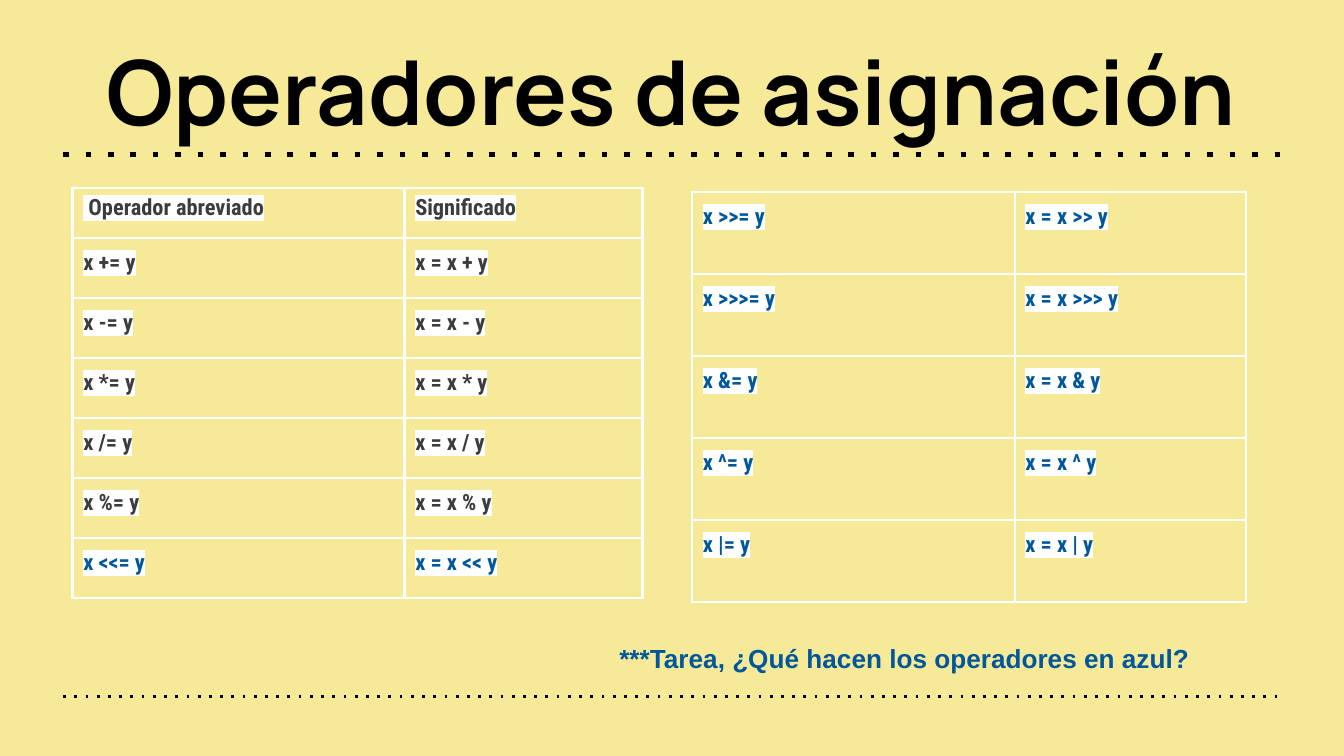
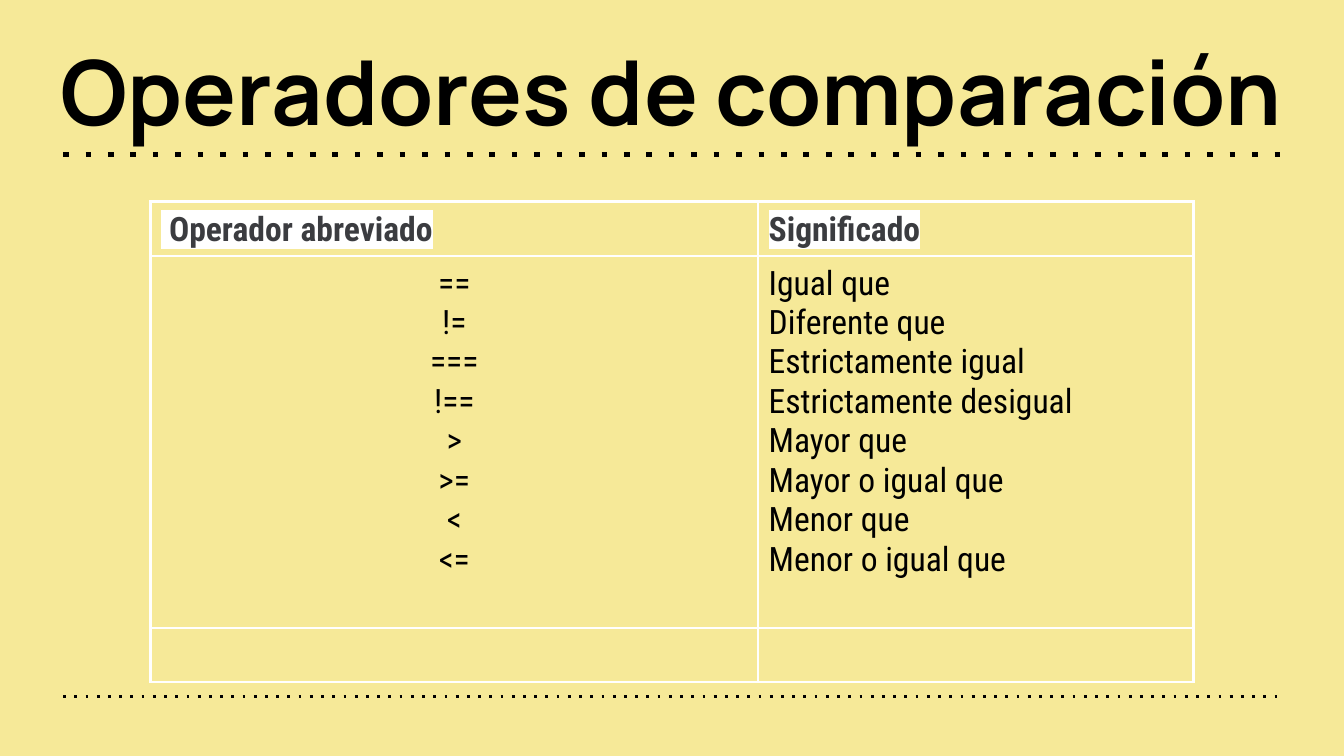
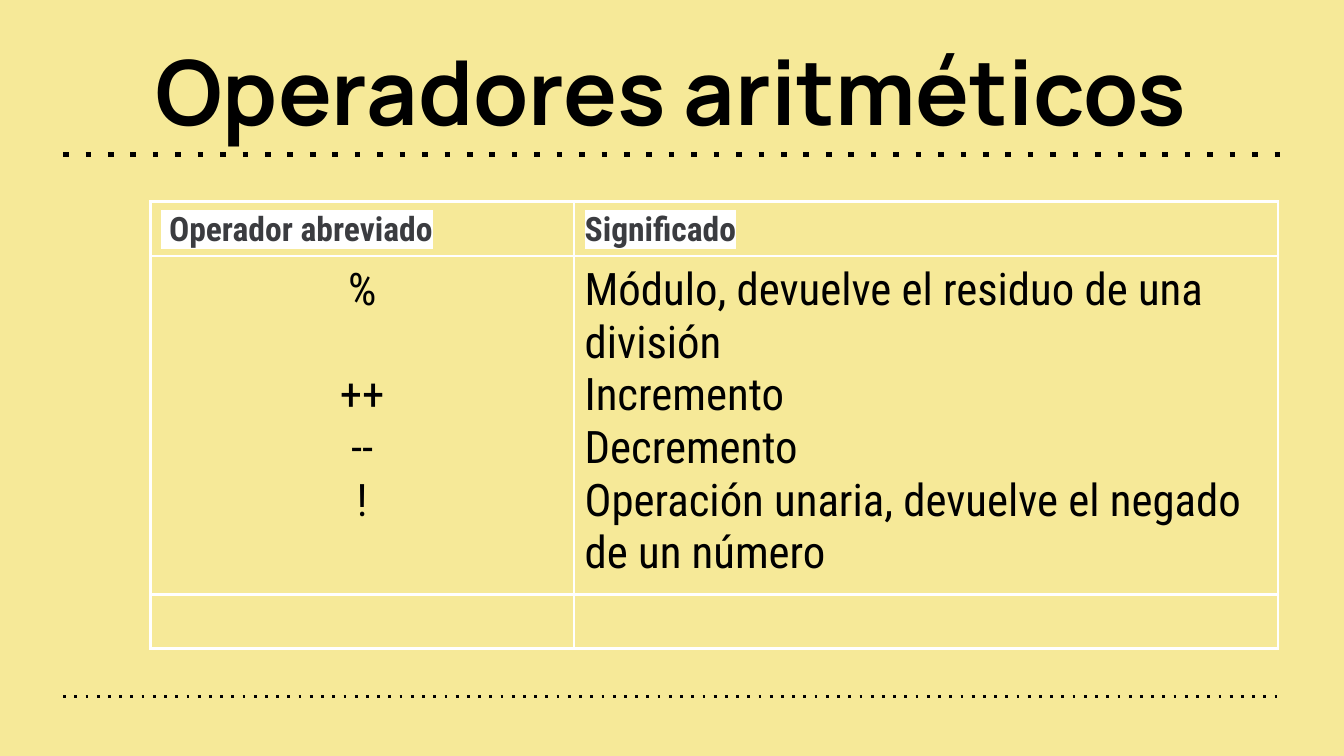
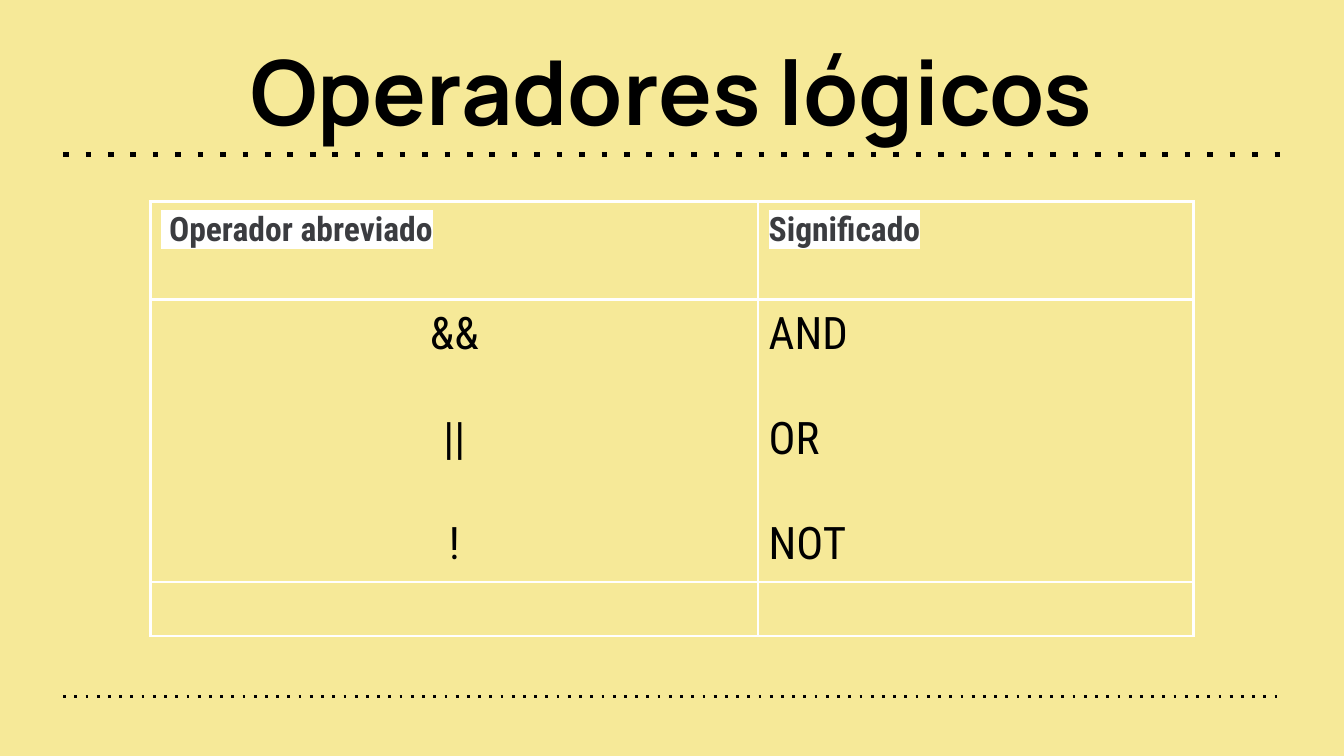
from pptx import Presentation
from pptx import util as u
from pptx.dml.color import RGBColor
from pptx.enum import shapes, text
from pptx.oxml import parse_xml
from pptx.oxml.ns import nsdecls, qn

# Colours and fonts
PAPER = RGBColor(0xF6, 0xE9, 0x98)
BLACK = RGBColor(0, 0, 0)
GREY = RGBColor(0x3B, 0x3C, 0x40)
BLUE = RGBColor(0x01, 0x57, 0x9B)
WHITE = RGBColor(0xFF, 0xFF, 0xFF)
HEAD_FONT, CELL_FONT, NOTE_FONT = "Manrope", "Roboto Condensed", "Arial"

# Content
HEADS = (" Operador abreviado", "Significado")
SIGNS = ["+", "-", "*", "/", "%", "<<", ">>", ">>>", "&", "^", "|"]
GREY_COUNT, LEFT_COUNT = 5, 6  # grey operators; rows of the left table
ASSIGN = "Operadores de asignación"
TASK = "***Tarea, ¿Qué hacen los operadores en azul?"

# Each entry: operator, meaning, blank lines after the operator, after the meaning
TOPICS = [
    dict(title="Operadores de comparación", size=18,
         cols=(4.52, 3.24), rows=(0.39, 2.77, 0.4),
         items=[("==", "Igual que", 0, 0),
                ("!=", "Diferente que", 0, 0),
                ("===", "Estrictamente igual", 0, 0),
                ("!==", "Estrictamente desigual", 0, 0),
                (">", "Mayor que", 0, 0),
                (">=", "Mayor o igual que", 0, 0),
                ("<", "Menor que", 0, 0),
                ("<=", "Menor o igual que", 0, 0)]),
    dict(title="Operadores aritméticos", size=24,
         cols=(3.15, 5.24), rows=(0.39, 2.45, 0.4),
         items=[("%", "Módulo, devuelve el residuo de una división", 1, 0),
                ("++", "Incremento", 0, 0),
                ("--", "Decremento", 0, 0),
                ("!", "Operación unaria, devuelve el negado de un número", 0, 0)]),
    dict(title="Operadores lógicos", size=24,
         cols=(4.52, 3.24), rows=(0.73, 2.07, 0.4),
         items=[("&&", "AND", 1, 1), ("||", "OR", 1, 1), ("!", "NOT", 0, 0)]),
]

LINE = 1.17  # height of one text line, as a share of the font size
RULES = ((1.15, 3), (5.18, 1.5))  # height on the slide, weight


def style(para, font, size, color, bold=False):
    f = para.font
    f.name, f.size, f.bold = font, u.Pt(size), bold
    f.color.rgb = color


def label(slide, box, words, font, size, color):
    frame = slide.shapes.add_textbox(*map(u.Inches, box)).text_frame
    frame.word_wrap = True
    frame.margin_top = frame.margin_bottom = u.Inches(0.1)
    frame.text = words
    style(frame.paragraphs[0], font, size, color, True)
    return frame


def start(deck, title):
    """Add a slide with its title and dotted rules."""
    slide = deck.slides.add_slide(deck.slide_layouts[6])
    for y, weight in RULES:
        rule = slide.shapes.add_connector(
            shapes.MSO_CONNECTOR.STRAIGHT,
            *map(u.Inches, (0.47, y, 9.54, y)))
        rule.line.color.rgb = BLACK
        rule.line.width = u.Pt(weight)
        props = rule._element.spPr
        props.find(qn("a:ln")).append(
            parse_xml(f'<a:prstDash {nsdecls("a")} val="dot"/>'))
        props.append(parse_xml(f"<a:effectLst {nsdecls('a')}/>"))
    frame = label(slide, (0.28, 0.16, 9.43, 1.02), title, HEAD_FONT, 48, BLACK)
    frame.vertical_anchor = text.MSO_ANCHOR.MIDDLE
    frame.paragraphs[0].alignment = text.PP_ALIGN.CENTER
    return slide


def grid(slide, left, top, cols, rows):
    """Add a clear table with white borders."""
    box = map(u.Inches, (left, top, sum(cols), sum(rows)))
    table = slide.shapes.add_table(len(rows), len(cols), *box).table
    table.first_row = table.horz_banding = False
    for col, width in zip(table.columns, cols):
        col.width = u.Inches(width)
    for row, height in zip(table.rows, rows):
        row.height = u.Inches(height)
    for cell in table.iter_cells():
        cell.margin_left = cell.margin_right = u.Inches(0.08)
        cell.margin_top = cell.margin_bottom = u.Inches(0.06)
        props = cell._tc.get_or_add_tcPr()
        for side in ("lnL", "lnR", "lnT", "lnB"):
            props.append(parse_xml(
                f'<a:{side} {nsdecls("a")} w="{u.Pt(1.5)}"><a:solidFill>'
                f'<a:srgbClr val="{WHITE}"/></a:solidFill></a:{side}>'))
        cell.fill.background()
        style(cell.text_frame.paragraphs[0], CELL_FONT, 12, BLACK)
    return table


def mark(cell, words, size, color):
    """Write bold text on a white highlight."""
    para = cell.text_frame.paragraphs[0]
    run = para.add_run()
    run.text = words
    para.line_spacing = 1.15
    style(para, CELL_FONT, size, color, True)
    run.font.color.rgb = color  # the highlight has to follow a fill
    run._r.rPr.append(parse_xml(
        f'<a:highlight {nsdecls("a")}><a:srgbClr val="{WHITE}"/></a:highlight>'))


def header(table, size):
    for cell, words in zip(table.rows[0].cells, HEADS):
        cell.margin_top, cell.margin_bottom = u.Inches(0.02), u.Inches(0.04)
        mark(cell, words, size, GREY)


def stack(cell, entries, size, align):
    """Write one paragraph per entry: its words and the blank lines after it."""
    frame = cell.text_frame
    frame.text = "\n".join(words for words, gap in entries)
    for para, (words, gap) in zip(frame.paragraphs, entries):
        style(para, CELL_FONT, size, BLACK)
        para.alignment = align
        para.space_after = u.Pt(round(gap * size * LINE, 1))


def assign(deck):
    slide = start(deck, ASSIGN)
    left = grid(slide, 0.54, 1.4, (2.47, 1.77),
                [0.37] + [2.68 / LEFT_COUNT] * LEFT_COUNT)
    right = grid(slide, 5.15, 1.43, (2.4, 1.72),
                 [0.61] * (len(SIGNS) - LEFT_COUNT))
    header(left, 12)
    lines = list(left.rows)[1:] + list(right.rows)
    for i, (row, sign) in enumerate(zip(lines, SIGNS)):
        color = GREY if i < GREY_COUNT else BLUE
        for cell, words in zip(row.cells, (f"x {sign}= y", f"x = x {sign} y")):
            mark(cell, words, 12, color)
    label(slide, (4.51, 4.68, 4.76, 0.36), TASK, NOTE_FONT, 14, BLUE)


def topic(deck, title, size, cols, rows, items):
    table = grid(start(deck, title), 1.12, 1.5, cols, rows)
    header(table, 18)
    signs, names, sign_gaps, name_gaps = zip(*items)
    stack(table.cell(1, 0), list(zip(signs, sign_gaps)), size,
          text.PP_ALIGN.CENTER)
    stack(table.cell(1, 1), list(zip(names, name_gaps)), size,
          text.PP_ALIGN.LEFT)


def main():
    deck = Presentation()
    deck.slide_width = u.Inches(10)
    deck.slide_height = deck.slide_width * 9 // 16
    paper = deck.slide_master.background.fill
    paper.solid()
    paper.fore_color.rgb = PAPER
    assign(deck)
    for item in TOPICS:
        topic(deck, **item)
    deck.save("out.pptx")


if __name__ == "__main__":
    main()
